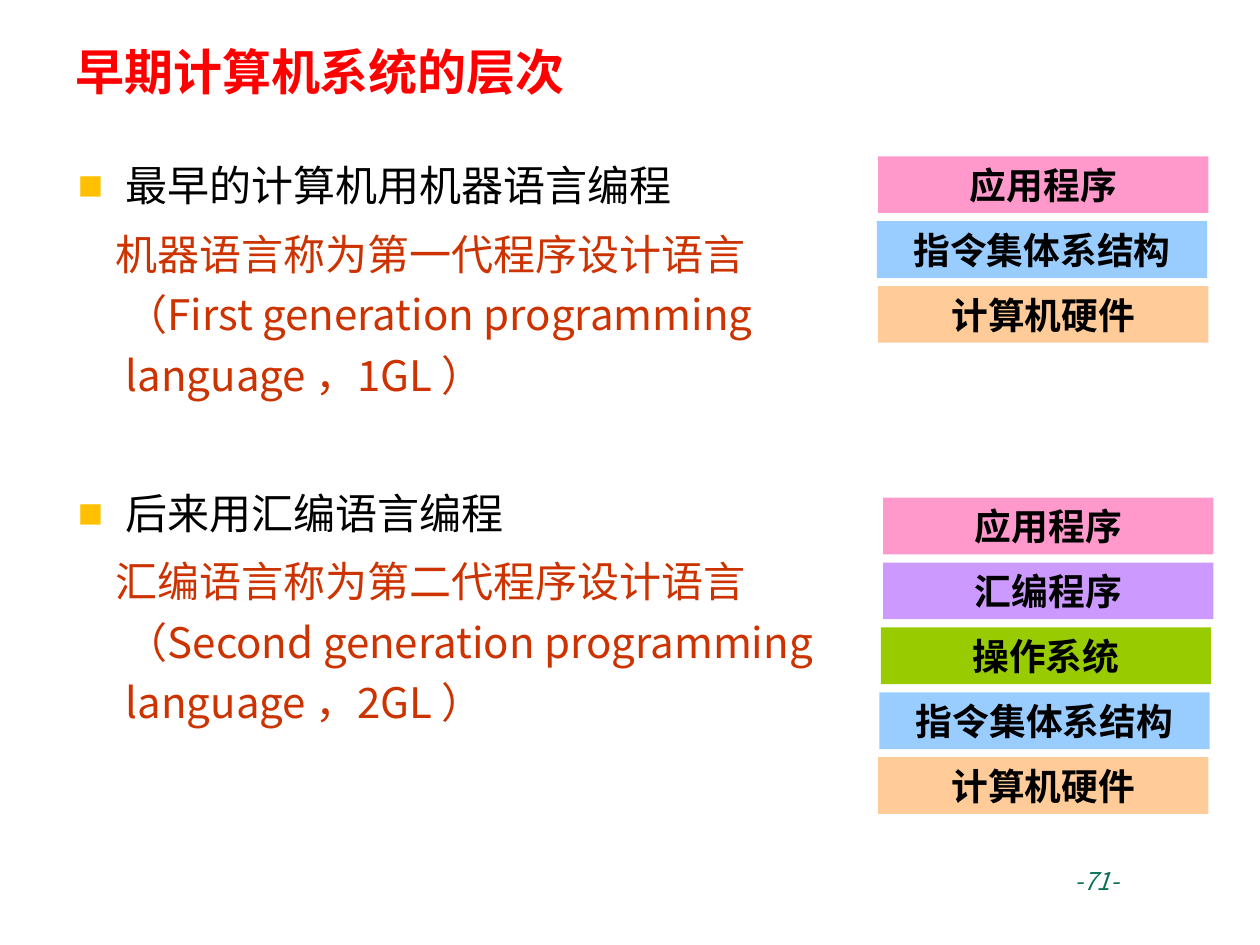
from lxml import etree
from pptx import Presentation
from pptx import util as u
from pptx.dml.color import RGBColor
from pptx.enum import shapes, text
from pptx.oxml.ns import qn

THEME = {
    "font": "Noto Sans CJK SC", "label_font": "Arial",
    "title": "FF0000", "text": "000000", "detail": "CC3300",
    "bullet": "FFC000", "number": "0D7157",
    "title_size": 28, "body_size": 24, "label_size": 21, "number_size": 14,
}

# Content
TITLE = "早期计算机系统的层次"
PAGE_NUMBER = "-71-"
GENERATIONS = [
    ("最早的计算机用机器语言编程",
     "机器语言称为第一代程序设计语言（First generation programming language ，1GL ）"),
    ("后来用汇编语言编程",
     "汇编语言称为第二代程序设计语言（Second generation programming language ，2GL ）"),
]
LAYER_COLORS = {
    "应用程序": "FF99CC", "汇编程序": "CC99FF", "操作系统": "99CC00",
    "指令集体系结构": "99CCFF", "计算机硬件": "FFCC99",
}
# Each stack: top edge, then its layers with their left edges
STACKS = [
    (1.24, [("应用程序", 6.97), ("指令集体系结构", 6.96), ("计算机硬件", 6.97)]),
    (3.95, [("应用程序", 7.01), ("汇编程序", 7.01), ("操作系统", 6.99),
            ("指令集体系结构", 6.98), ("计算机硬件", 6.97)]),
]
LAYER_WIDTH, LAYER_HEIGHT, LAYER_PITCH = 2.62, 0.45, 0.515
HANG, DETAIL_INDENT = 0.38, -0.08
LINE_SPACING, PARA_GAP, GROUP_GAP = 1.2, 4.5, 44.4


def style(para, size, color, font=THEME["font"], bold=False, italic=False):
    para.font.size = u.Pt(size)
    para.font.bold, para.font.italic = bold, italic
    para.font.color.rgb = RGBColor.from_string(color)
    para.font.name = font
    latin = para.font._element.find(qn("a:latin"))
    latin.addnext(etree.Element(qn("a:ea"), typeface=THEME["font"]))


def add_box(page, left, top, width, height, anchor=text.MSO_ANCHOR.TOP):
    box = page.shapes.add_textbox(*map(u.Inches, (left, top, width, height)))
    box.text_frame.word_wrap = True
    box.text_frame.vertical_anchor = anchor
    return box.text_frame


def set_indent(para, first_line, bullet=None):
    para.line_spacing = LINE_SPACING
    props = para._p.get_or_add_pPr()
    props.set("marL", str(u.Inches(HANG)))
    props.set("indent", str(u.Inches(first_line)))
    if bullet:
        color = etree.SubElement(props, qn("a:buClr"))
        etree.SubElement(color, qn("a:srgbClr"), val=THEME["bullet"])
        etree.SubElement(props, qn("a:buFont"), typeface=THEME["label_font"])
        etree.SubElement(props, qn("a:buChar"), char=bullet)


def add_layer(page, label, left, top):
    layer = page.shapes.add_shape(
        shapes.MSO_SHAPE.RECTANGLE,
        *map(u.Inches, (left, top, LAYER_WIDTH, LAYER_HEIGHT)))
    layer.shadow.inherit = False
    layer.fill.solid()
    layer.fill.fore_color.rgb = RGBColor.from_string(LAYER_COLORS[label])
    layer.line.fill.background()
    frame = layer.text_frame
    frame.margin_top = frame.margin_bottom = 0
    frame.vertical_anchor = text.MSO_ANCHOR.MIDDLE
    para = frame.paragraphs[0]
    para.text = label
    para.alignment = text.PP_ALIGN.CENTER
    style(para, THEME["label_size"], THEME["text"], THEME["label_font"], bold=True)


deck = Presentation()
deck.slide_width, deck.slide_height = u.Inches(10), u.Inches(7.5)
page = deck.slides.add_slide(deck.slide_layouts[6])

# Title
para = add_box(page, 0.5, 0.24, 9, 0.64, text.MSO_ANCHOR.MIDDLE).paragraphs[0]
para.text = TITLE
style(para, THEME["title_size"], THEME["title"], bold=True)

# Page number
frame = add_box(page, 8.39, 6.82, 1.11, 0.52)
frame.margin_left = u.Inches(0.14)
para = frame.paragraphs[0]
para.text = PAGE_NUMBER
style(para, THEME["number_size"], THEME["number"], italic=True)

# Language generations
frame = add_box(page, 0.52, 1.14, 6.16, 5.69)
for index, (heading, detail) in enumerate(GENERATIONS):
    para = frame.add_paragraph() if index else frame.paragraphs[0]
    para.text = heading
    if index:
        para.space_before = u.Pt(GROUP_GAP)
    set_indent(para, -HANG, "■")
    style(para, THEME["body_size"], THEME["text"])

    para = frame.add_paragraph()
    para.text = detail
    para.space_before = u.Pt(PARA_GAP)
    set_indent(para, DETAIL_INDENT)
    style(para, THEME["body_size"], THEME["detail"])

# Layer stacks
for top, layers in STACKS:
    for row, (label, left) in enumerate(layers):
        add_layer(page, label, left, top + row * LAYER_PITCH)

deck.save("out.pptx")
